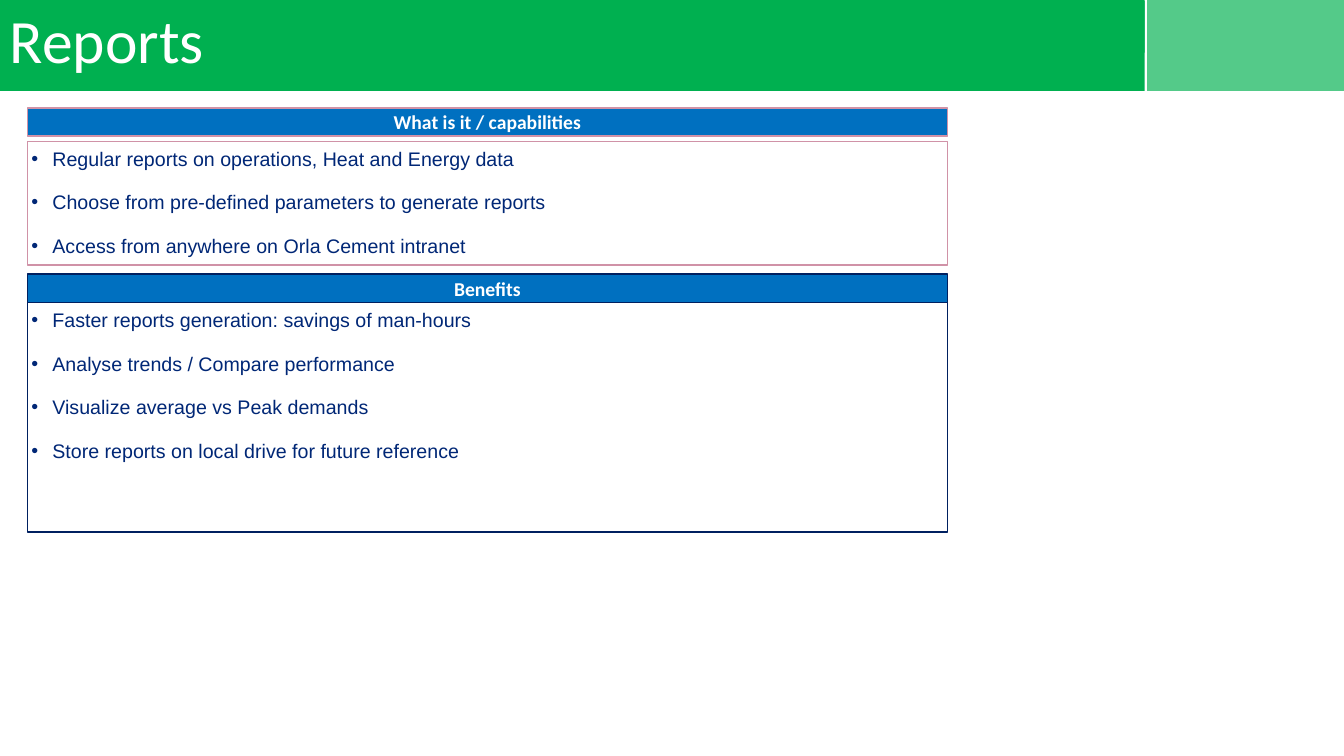
from lxml import etree
from pptx import Presentation
from pptx import util as u
from pptx.dml.color import RGBColor
from pptx.enum import shapes, text
from pptx.oxml import ns

GREEN = RGBColor(0x00, 0xB0, 0x50)
BLUE = RGBColor(0x00, 0x70, 0xC0)
NAVY = RGBColor(0x00, 0x20, 0x60)
TEXT_NAVY = RGBColor(0x00, 0x27, 0x76)
PINK = RGBColor(0xD0, 0x92, 0xA7)
WHITE = RGBColor(0xFF, 0xFF, 0xFF)

PANEL_LEFT, PANEL_WIDTH = u.Cm(0.69), u.Cm(23.19)
HEADING_HEIGHT = u.Cm(0.71)
INSET = u.Cm(0.1)
BULLET_INDENT = u.Cm(0.53)

CAPABILITIES = [
    "Regular reports on operations, Heat and Energy data",
    "Choose from pre-defined parameters to generate reports",
    "Access from anywhere on Orla Cement intranet",
]
BENEFITS = [
    "Faster reports generation: savings of man-hours",
    "Analyse trends / Compare performance",
    "Visualize average vs Peak demands",
    "Store reports on local drive for future reference",
]


def place(shape, left, top, width, height):
    shape.left, shape.top = left, top
    shape.width, shape.height = width, height


def style_font(paragraph, name, size, color, bold=False):
    font = paragraph.font
    font.name, font.size, font.bold = name, u.Pt(size), bold
    font.color.rgb = color


def set_frame(frame, inset, anchor):
    frame.word_wrap = True
    frame.auto_size = text.MSO_AUTO_SIZE.NONE
    frame.vertical_anchor = anchor
    frame.margin_left = frame.margin_right = inset
    frame.margin_top = frame.margin_bottom = inset


def add_rectangle(slide, left, top, width, height, fill):
    shape = slide.shapes.add_shape(
        shapes.MSO_SHAPE.RECTANGLE, left, top, width, height)
    shape.shadow.inherit = False
    shape.fill.solid()
    shape.fill.fore_color.rgb = fill
    shape.line.fill.background()
    return shape


def add_band(slide, position, left, top, width, height, opacity=100):
    """Add a green band behind the title."""
    band = add_rectangle(slide, u.Cm(left), u.Cm(top), u.Cm(width), u.Cm(height), GREEN)
    if opacity < 100:
        color = band.fill._xPr.find(".//" + ns.qn("a:srgbClr"))
        etree.SubElement(color, ns.qn("a:alpha"), val=str(opacity * 1000))
    # Index 2 is the first place after the group properties
    slide.shapes._spTree.insert(2 + position, band._element)


def set_title(slide, wording):
    title = slide.shapes.title
    place(title, u.Cm(0), u.Cm(0.13), u.Cm(20.37), u.Cm(2.39))
    title.text = wording
    set_frame(title.text_frame, u.Cm(0.25), text.MSO_ANCHOR.TOP)
    title.text_frame.margin_top = title.text_frame.margin_bottom = u.Cm(0.13)
    paragraph = title.text_frame.paragraphs[0]
    paragraph.alignment = text.PP_ALIGN.LEFT
    paragraph.line_spacing = 0.9
    style_font(paragraph, "Calibri", 44, WHITE)


def add_heading(slide, wording, top, line_color):
    heading = add_rectangle(slide, PANEL_LEFT, top, PANEL_WIDTH, HEADING_HEIGHT, BLUE)
    heading.line.color.rgb = line_color
    heading.line.width = u.Pt(1)
    set_frame(heading.text_frame, INSET, text.MSO_ANCHOR.MIDDLE)
    paragraph = heading.text_frame.paragraphs[0]
    paragraph.text = wording
    paragraph.alignment = text.PP_ALIGN.CENTER
    style_font(paragraph, "Calibri", 14, WHITE, bold=True)


def add_bullet(paragraph):
    properties = paragraph._p.get_or_add_pPr()
    properties.set("marL", str(BULLET_INDENT))
    properties.set("indent", str(-BULLET_INDENT))
    etree.SubElement(properties, ns.qn("a:buFont"), typeface="Arial")
    etree.SubElement(properties, ns.qn("a:buChar"), char="•")


def fill_list(body, items, top, height, line_color):
    place(body, PANEL_LEFT, top, PANEL_WIDTH, height)
    body.line.color.rgb = line_color
    body.line.width = u.Pt(1)
    frame = body.text_frame
    frame.text = "\n".join(items)
    set_frame(frame, INSET, text.MSO_ANCHOR.TOP)
    for index, paragraph in enumerate(frame.paragraphs):
        add_bullet(paragraph)
        paragraph.level = 1
        paragraph.alignment = text.PP_ALIGN.LEFT
        paragraph.line_spacing = 1.06
        paragraph.space_before = u.Pt(13.4 if index else 0)
        paragraph.space_after = u.Pt(0)
        style_font(paragraph, "Arial", 14, TEXT_NAVY)


def main():
    presentation = Presentation()
    presentation.slide_width = u.Cm(33.87)
    presentation.slide_height = u.Cm(19.05)
    slide = presentation.slides.add_slide(presentation.slide_layouts[3])

    # Header
    add_band(slide, 0, 0, 0, 28.85, 2.29)
    add_band(slide, 1, 28.91, 0, 4.96, 2.29, opacity=67)
    add_band(slide, 2, 0, 0.03, 28.85, 1.3)
    set_title(slide, "Reports")

    # Capabilities panel
    add_heading(slide, "What is it / capabilities", u.Cm(2.72), PINK)
    fill_list(slide.placeholders[1], CAPABILITIES, u.Cm(3.56), u.Cm(3.12), PINK)

    # Benefits panel
    add_heading(slide, "Benefits", u.Cm(6.91), NAVY)
    fill_list(slide.placeholders[2], BENEFITS, u.Cm(7.62), u.Cm(5.79), NAVY)

    presentation.save("out.pptx")


if __name__ == "__main__":
    main()
